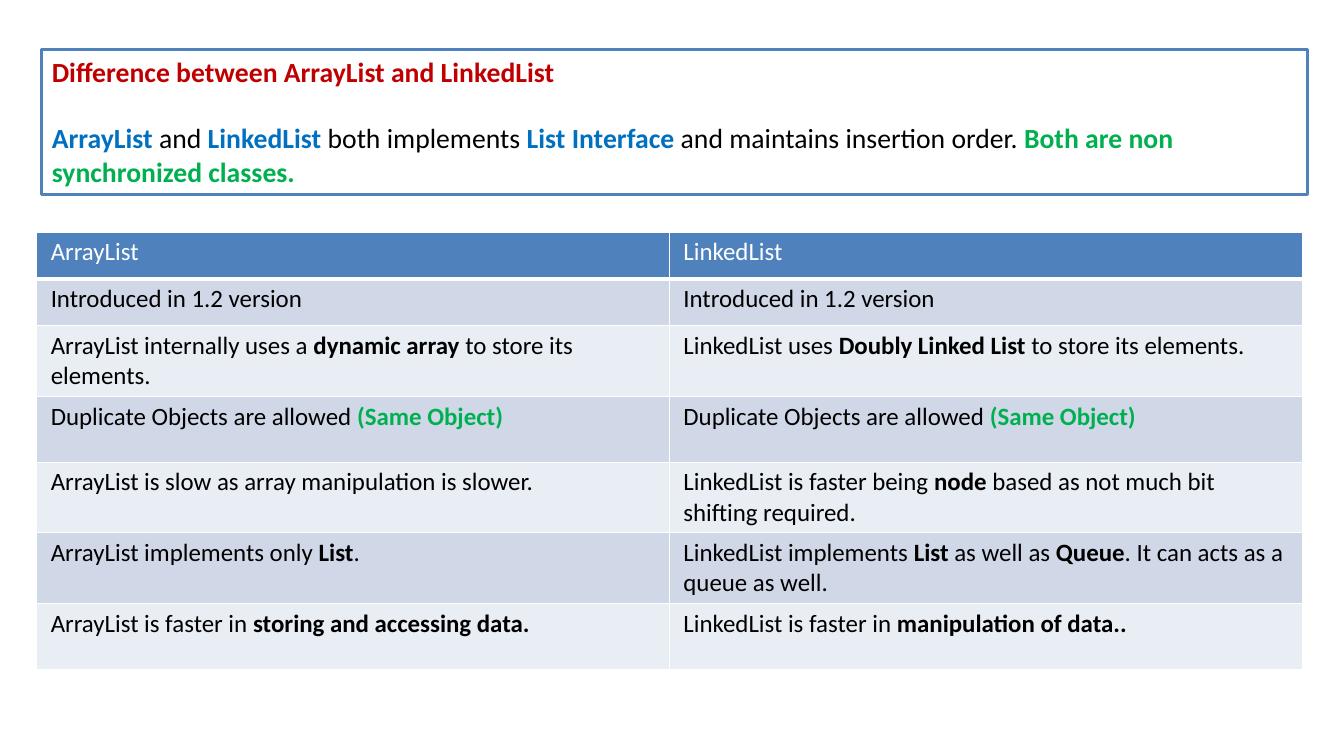
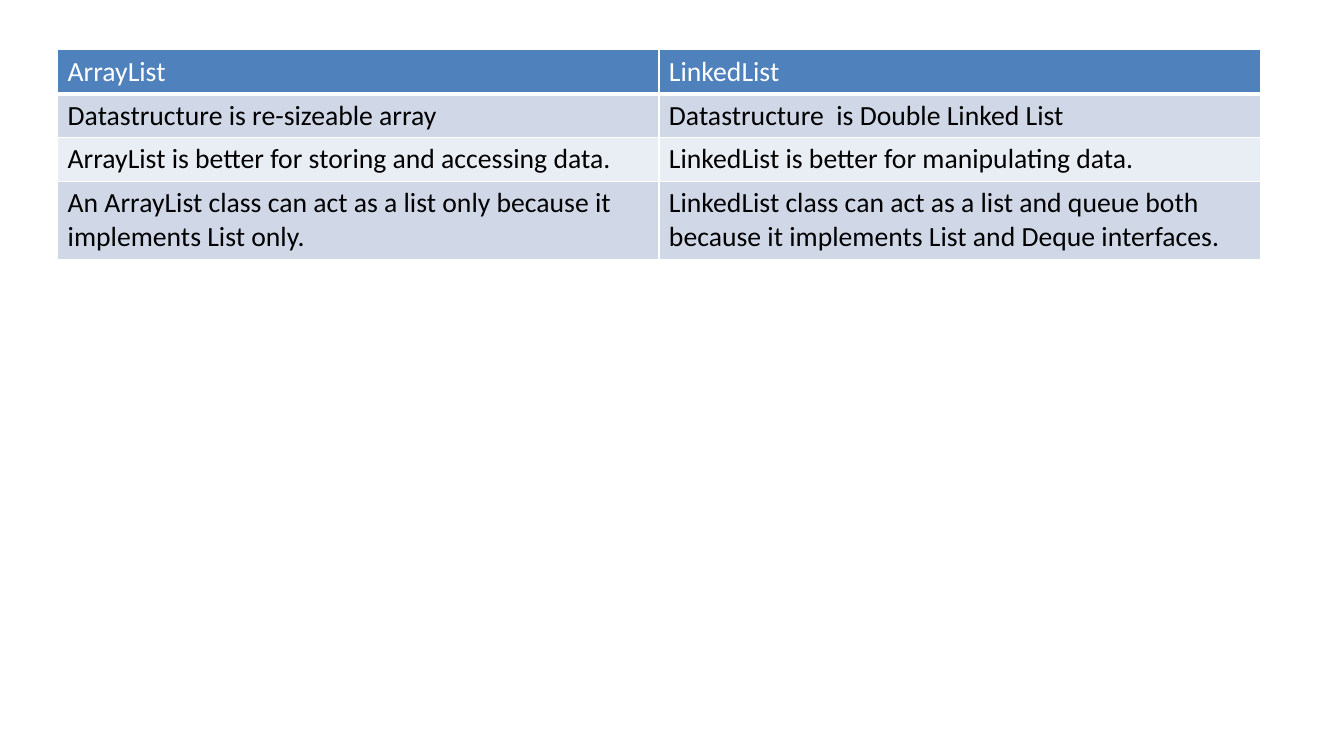
"""Build two slides comparing ArrayList and LinkedList."""
import pptx
import pptx.dml.color
import pptx.enum.text
import pptx.oxml
import pptx.oxml.ns
import pptx.util
from pptx.util import Inches, Pt

FONT = "Calibri"
BLACK, WHITE, BLUE = "000000", "FFFFFF", "4F81BD"
RED, AZURE, GREEN = "C00000", "0070C0", "00B050"
BANDS = ["D0D8E8", "E9EDF4"]
STYLES = {
    "plain": (BLACK, False),
    "bold": (BLACK, True),
    "head": (WHITE, False),
    "title": (RED, True),
    "term": (AZURE, True),
    "note": (GREEN, True),
}

HEADING = [("Difference between ArrayList and LinkedList", "title")]
INTRO = [
    ("ArrayList ", "term"), ("and ", "plain"), ("LinkedList", "term"),
    (" both implements ", "plain"), ("List Interface ", "term"),
    ("and maintains insertion order. ", "plain"),
    ("Both are non synchronized classes.", "note"),
]
HEADER = ([("ArrayList", "head")], [("LinkedList", "head")])
DUPLICATES = [("Duplicate Objects are allowed ", "plain"), ("(Same Object)", "note")]
VERSION = [("Introduced in 1.2 version", "plain")]
DIFFERENCES = [
    HEADER,
    (VERSION, VERSION),
    ([("ArrayList internally uses a ", "plain"), ("dynamic array ", "bold"),
      ("to store its elements.", "plain")],
     [("LinkedList uses ", "plain"), ("Doubly Linked List ", "bold"),
      ("to store its elements.", "plain")]),
    (DUPLICATES, DUPLICATES),
    ([("ArrayList is slow as array manipulation is slower.", "plain")],
     [("LinkedList is faster being ", "plain"), ("node", "bold"),
      (" based as not much bit shifting required.", "plain")]),
    ([("ArrayList implements only ", "plain"), ("List", "bold"), (".", "plain")],
     [("LinkedList implements ", "plain"), ("List", "bold"), (" as well as ", "plain"),
      ("Queue", "bold"), (". It can acts as a queue as well.", "plain")]),
    ([("ArrayList is faster in ", "plain"), ("storing and accessing data.", "bold")],
     [("LinkedList is faster in ", "plain"), ("manipulation of data..", "bold")]),
]
SUMMARY = [
    HEADER,
    ([("Datastructure is re-sizeable array", "plain")],
     [("Datastructure  is Double Linked List", "plain")]),
    ([("ArrayList is better for storing and accessing data.", "plain")],
     [("LinkedList is better for manipulating data.", "plain")]),
    ([("An ArrayList class can act as a list only because it implements List only.", "plain")],
     [("LinkedList class can act as a list and queue both because it implements "
       "List and Deque interfaces.", "plain")]),
]


def rgb(value):
    return pptx.dml.color.RGBColor.from_string(value)


def write(p, parts, size):
    p.alignment = pptx.enum.text.PP_ALIGN.LEFT
    for text, style in parts:
        r = p.add_run()
        r.text = text
        color, r.font.bold = STYLES[style]
        r.font.name, r.font.size = FONT, Pt(size)
        r.font.color.rgb = rgb(color)


def add_borders(cell, widths):
    tc_pr = cell._tc.get_or_add_tcPr()
    for side, width in zip("LRTB", widths):
        tc_pr.append(pptx.oxml.parse_xml(
            f'<a:ln{side} {pptx.oxml.ns.nsdecls("a")} w="{Pt(width)}"><a:solidFill>'
            f'<a:srgbClr val="{WHITE}"/></a:solidFill></a:ln{side}>'))


def add_comparison(slide, rows, left, top, width, heights, size, margin):
    table = slide.shapes.add_table(len(rows), 2, Inches(left), Inches(top),
                                   Inches(width), Inches(sum(heights))).table
    for i, (row, height) in enumerate(zip(rows, heights)):
        table.rows[i].height = Inches(height)
        for cell, parts in zip(table.rows[i].cells, row):
            cell.margin_left = cell.margin_right = Inches(margin)
            add_borders(cell, (1, 1, 3 if i == 1 else 1, 3 if i == 0 else 1))
            cell.fill.solid()
            cell.fill.fore_color.rgb = rgb(BANDS[(i - 1) % 2] if i else BLUE)
            write(cell.text_frame.paragraphs[0], parts, size)


def add_title(slide):
    sp = slide.shapes.title
    sp.left, sp.top, sp.width, sp.height = map(Inches, (0.42, 0.5, 12.71, 1.45))
    sp.fill.solid()
    sp.fill.fore_color.rgb = rgb(WHITE)
    sp.line.color.rgb = rgb(BLUE)
    sp.line.width = Pt(2)
    tf = sp.text_frame
    tf.word_wrap = True
    tf.auto_size = pptx.enum.text.MSO_AUTO_SIZE.NONE
    tf.vertical_anchor = pptx.enum.text.MSO_ANCHOR.TOP
    write(tf.paragraphs[0], HEADING, 20)
    tf.paragraphs[0].space_after = Pt(24)
    write(tf.add_paragraph(), INTRO, 20)


def main():
    prs = pptx.Presentation()
    prs.slide_width, prs.slide_height = Inches(13.5), Inches(7.5)
    title_only, blank = prs.slide_layouts[5], prs.slide_layouts[6]

    slide = prs.slides.add_slide(title_only)
    add_title(slide)
    add_comparison(slide, DIFFERENCES, 0.37, 2.33, 12.71,
                   [0.47] * 2 + [0.66] * 5, 18, 0.14)

    slide = prs.slides.add_slide(blank)
    add_comparison(slide, SUMMARY, 0.58, 0.5, 12.08, [0.41] * 4, 20, 0.1)
    prs.save("out.pptx")


if __name__ == "__main__":
    main()
